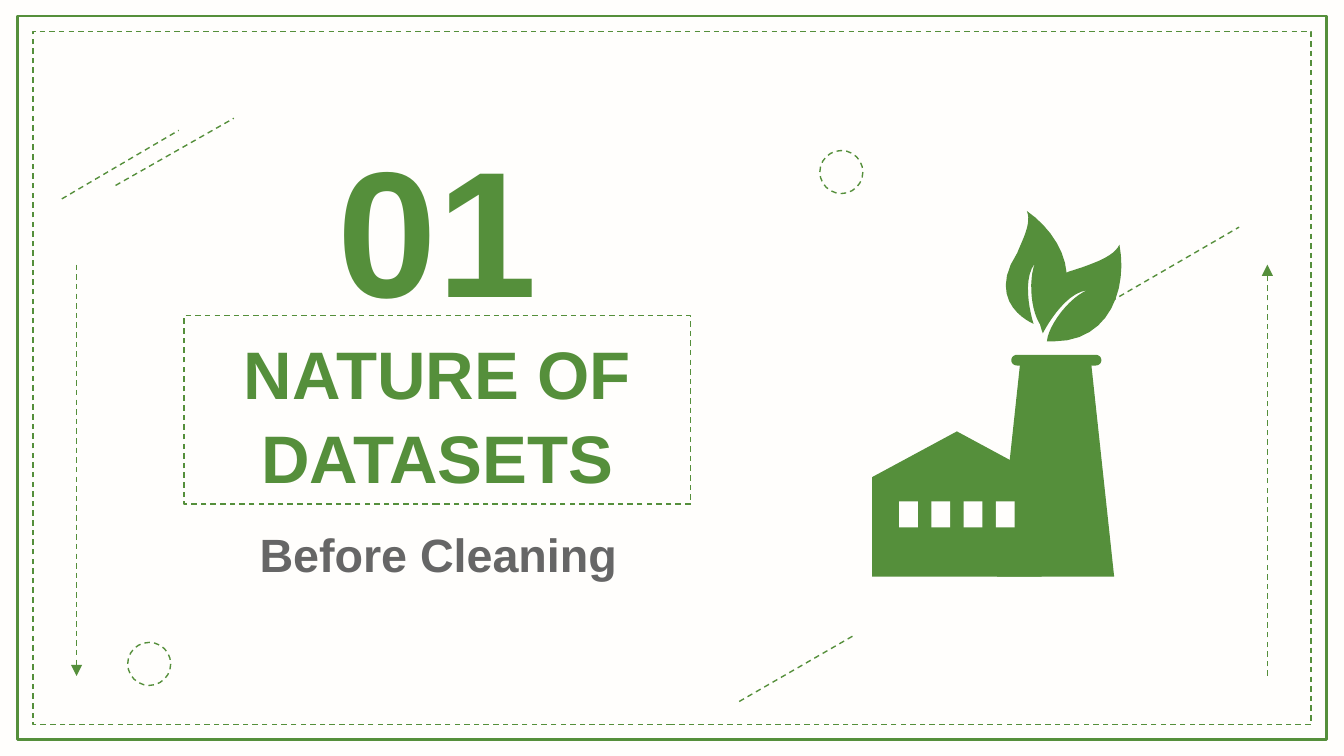
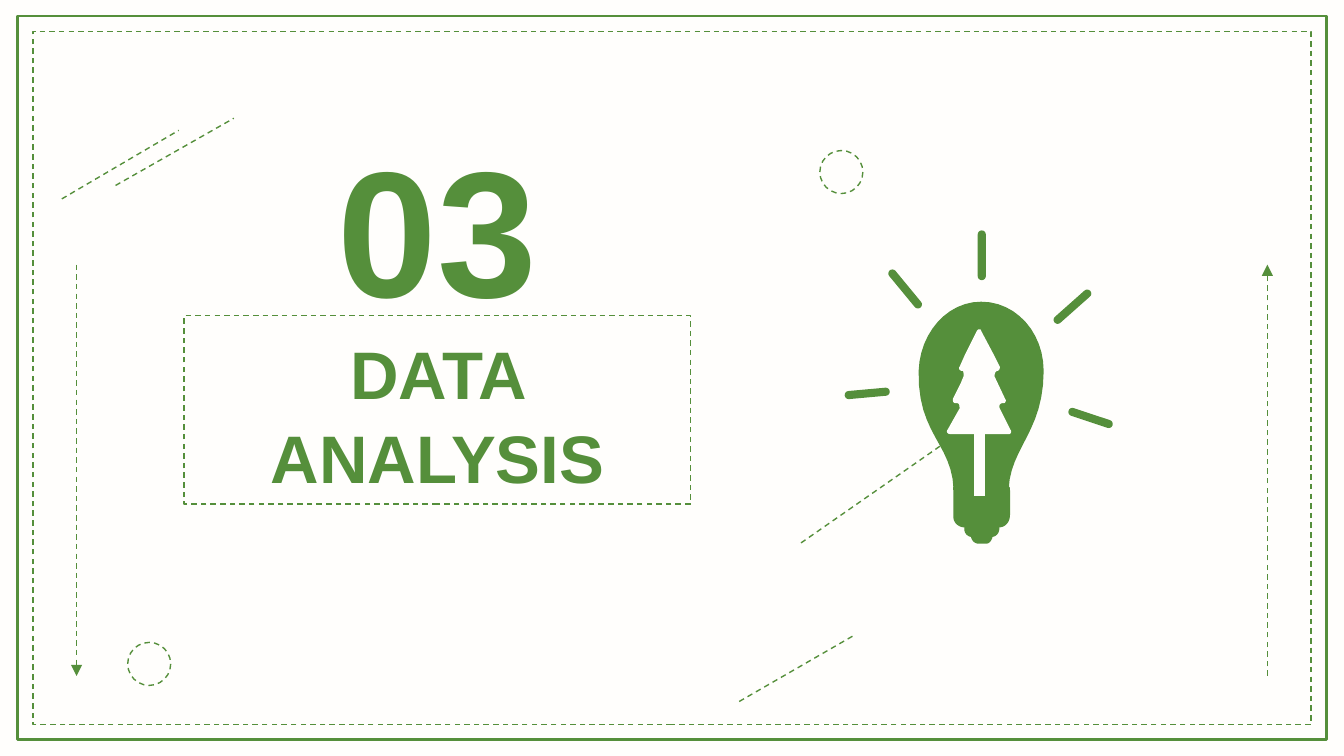
"""Build two green section-divider slides."""
import math

import lxml.etree
import pptx
import pptx.dml.color
import pptx.enum.dml
import pptx.enum.shapes
import pptx.enum.text
import pptx.oxml.ns
import pptx.util

GREEN = pptx.dml.color.RGBColor(0x55, 0x8F, 0x3B)
GREY = pptx.dml.color.RGBColor(0x66, 0x66, 0x66)
CREAM = pptx.dml.color.RGBColor(0xFF, 0xFE, 0xFC)

COLUMNS, ROWS = 100, 56.25
CELL = pptx.util.Inches(0.1)
DASH = pptx.enum.dml.MSO_LINE.DASH
THIN = {"width": pptx.util.Pt(0.75)}
DASHED = {**THIN, "dash_style": DASH}
SOLID = {"width": pptx.util.Pt(1.5)}
RECTANGLE = pptx.enum.shapes.MSO_SHAPE.RECTANGLE
CIRCLE = pptx.enum.shapes.MSO_SHAPE.OVAL
TOP = pptx.enum.text.MSO_ANCHOR.TOP
MIDDLE = pptx.enum.text.MSO_ANCHOR.MIDDLE

FACTORY = [
    [(75.9, 27.1), (74.2, 42.9), (82.9, 42.9), (81.2, 27.1)],
    [(75.7, 26.4), (75.1, 26.4, 75.1, 27.2, 75.7, 27.2), (81.5, 27.2),
     (82.1, 27.2, 82.1, 26.4, 81.5, 26.4)],
    [(71.2, 32.1), (64.9, 35.5), (64.9, 42.9), (77.5, 42.9), (77.5, 35.5)],
]
LEAVES = [
    [(76.4, 15.7), (76.8, 16.6, 76, 18, 75.7, 18.8),
     (73.2, 22.6, 76.9, 24.1, 76.9, 24.1),
     (76.9, 24.1, 75.9, 21, 77, 19.6),
     (76.5, 20.9, 76.7, 23.3, 77.5, 24.3),
     (81, 21.3, 79, 17.5, 76.4, 15.7)],
    [(83.3, 18.2), (82.9, 19.1, 81.3, 19.6, 80.5, 19.9),
     (75.9, 21, 77.6, 24.8, 77.6, 24.8),
     (77.6, 24.8, 79.1, 21.8, 80.9, 21.6),
     (79.6, 22.1, 78, 24.2, 77.9, 25.4), (78.4, 25.4),
     (82.7, 25.4, 83.9, 21.3, 83.3, 18.2)],
]
BULB = [
    [(72.3, 39.9), (72.3, 40.1, 72.5, 40.4, 72.8, 40.4), (73.4, 40.4),
     (73.6, 40.4, 73.8, 40.1, 73.8, 39.9)],
    [(73, 22.5), (70.5, 22.5, 68.5, 24.8, 68.4, 27.6),
     (68.3, 32.3, 70.9, 33, 71, 36.4), (75, 36.4),
     (75.1, 33.3, 77.6, 32.1, 77.6, 27.6),
     (77.6, 24.8, 75.6, 22.5, 73, 22.5)],
    [(71.2, 36.2), (71, 36.2, 70.9, 36.3, 71, 36.5), (71, 38.3),
     (70.9, 38.8, 71.3, 39.2, 71.8, 39.2), (74.3, 39.2),
     (74.8, 39.2, 75.1, 38.8, 75.1, 38.3), (75.1, 36.5),
     (75.1, 36.3, 75.1, 36.3, 75, 36.2)],
    [(71.8, 39.2), (71.8, 39.4), (71.8, 39.6, 72, 39.9, 72.3, 39.9),
     (73.8, 39.9), (74.1, 39.9, 74.3, 39.6, 74.3, 39.4), (74.3, 39.2)],
]
RAYS = [
    (73.05, 17.45, 73.05, 20.55), (80.9, 21.85, 78.7, 23.8),
    (79.8, 30.65, 82.5, 31.55), (63.15, 29.4, 65.9, 29.15),
    (66.4, 20.35, 68.3, 22.65),
]
TREE = [
    [(72.5, 31.8), (72.5, 36.9), (73.3, 36.9), (73.3, 31.8)],
    [(72.9, 24.5), (72.8, 24.5, 72.8, 24.5, 72.7, 24.6), (71.8, 26.4),
     (71.4, 27.3), (71.3, 27.4, 71.4, 27.6, 71.6, 27.6),
     (71.7, 27.6, 71.7, 27.7, 71.7, 28), (71.5, 28.5), (70.9, 29.7),
     (70.9, 29.8, 70.9, 30, 71.1, 30), (71.2, 30),
     (71.4, 30, 71.4, 30.2, 71.4, 30.4), (70.5, 32),
     (70.4, 32.1, 70.5, 32.3, 70.7, 32.3), (75.1, 32.3),
     (75.2, 32.3, 75.3, 32.1, 75.2, 32), (74.4, 30.4),
     (74.3, 30.2, 74.4, 30, 74.6, 30), (74.7, 30),
     (74.8, 30, 74.9, 29.8, 74.8, 29.7), (74, 28),
     (74, 27.8, 74.1, 27.6, 74.2, 27.6),
     (74.3, 27.6, 74.4, 27.5, 74.4, 27.3), (73.9, 26.3), (73, 24.6),
     (73, 24.5, 72.9, 24.5, 72.9, 24.5)],
]


def apply_format(target, values):
    for name, value in values.items():
        setattr(target, name, value)


def capsule(x1, y1, x2, y2, radius=0.25):
    heading = math.atan2(y2 - y1, x2 - x1)
    ends = (((x2, y2), heading - math.pi / 2), ((x1, y1), heading + math.pi / 2))
    return [(x + radius * math.cos(turn + step * math.pi / 8),
             y + radius * math.sin(turn + step * math.pi / 8))
            for (x, y), turn in ends for step in range(9)]


def flatten(outline, steps=12):
    points = [outline[0]]
    for piece in outline[1:]:
        if len(piece) == 2:
            points.append(piece)
            continue
        controls = [points[-1], piece[:2], piece[2:4], piece[4:]]
        for step in range(1, steps + 1):
            t = step / steps
            weights = [math.comb(3, k) * t ** k * (1 - t) ** (3 - k) for k in range(4)]
            points.append(tuple(sum(w * c[axis] for w, c in zip(weights, controls))
                                for axis in (0, 1)))
    return [(round(x * CELL), round(y * CELL)) for x, y in points]


class Deck:
    def __init__(self):
        self.show = pptx.Presentation()
        self.show.slide_width = round(COLUMNS * CELL)
        self.show.slide_height = round(ROWS * CELL)
        backdrop = self.show.slide_master.background.fill
        backdrop.solid()
        backdrop.fore_color.rgb = CREAM
        self.slide = None

    def paint(self, shape, fill=None, line=None):
        shape.shadow.inherit = False
        if fill is None:
            shape.fill.background()
        else:
            shape.fill.solid()
            shape.fill.fore_color.rgb = fill
        if line is None:
            shape.line.fill.background()
        else:
            shape.line.color.rgb = GREEN
            apply_format(shape.line, line)

    def shape(self, kind, area, fill=None, line=None):
        shape = self.slide.shapes.add_shape(kind, *(round(v * CELL) for v in area))
        self.paint(shape, fill, line)
        return shape

    def line(self, ends, arrow=False):
        connector = self.slide.shapes.add_connector(
            pptx.enum.shapes.MSO_CONNECTOR.STRAIGHT, *(round(v * CELL) for v in ends))
        connector.line.color.rgb = GREEN
        apply_format(connector.line, DASHED)
        properties = connector._element.spPr
        qn = pptx.oxml.ns.qn
        if arrow:
            lxml.etree.SubElement(properties.find(qn("a:ln")), qn("a:tailEnd"), type="triangle")
        lxml.etree.SubElement(properties, qn("a:effectLst"))

    def emblem(self, outlines, fill=GREEN, line=None):
        group = self.slide.shapes.add_group_shape()
        for outline in outlines:
            start, *rest = flatten(outline)
            builder = group.shapes.build_freeform(*start)
            builder.add_line_segments(rest, close=True)
            self.paint(builder.convert_to_shape(), fill, line)

    def letter(self, shape, words, size, color=GREEN, anchor=TOP, spacing=1.15):
        frame = shape.text_frame
        margins = {f"margin_{side}": CELL for side in ("left", "top", "right", "bottom")}
        apply_format(frame, {"word_wrap": True, "vertical_anchor": anchor, **margins})
        paragraph = frame.paragraphs[0]
        paragraph.text = words
        apply_format(paragraph, {"alignment": pptx.enum.text.PP_ALIGN.CENTER,
                                 "line_spacing": spacing})
        apply_format(paragraph.font, {"name": "Arial", "size": pptx.util.Pt(size), "bold": True})
        paragraph.font.color.rgb = color

    def text(self, area, words, size, **style):
        box = self.slide.shapes.add_textbox(*(round(v * CELL) for v in area))
        self.letter(box, words, size, **style)

    def section(self, number, heading):
        self.slide = self.show.slides.add_slide(self.show.slide_layouts[6])
        for inset_x, inset_y, style in ((1.3, 1.2, SOLID), (2.45, 2.35, DASHED)):
            self.shape(RECTANGLE, (inset_x, inset_y, COLUMNS - 2 * inset_x,
                                   ROWS - 2 * inset_y), line=style)
        for slant in ((8.6, 13.8, 17.4, 8.8), (4.6, 14.8, 13.3, 9.7),
                      (55, 52.2, 63.5, 47.3)):
            self.line(slant)
        for left, top in ((9.5, 47.8), (61, 11.2)):
            self.shape(CIRCLE, (left, top, 3.2, 3.2), CREAM, DASHED)
        self.line((5.7, 19.7, 5.7, 50.3), arrow=True)
        self.line((94.3, 50.3, 94.3, 19.7), arrow=True)
        title = self.shape(RECTANGLE, (13.7, 23.5, 37.7, 14), line=DASHED)
        self.letter(title, heading, 36, spacing=1.04)
        self.text((20.2, 9.9, 24.7, 11.4), number, 96, anchor=MIDDLE)


def main():
    deck = Deck()

    deck.section("01", "NATURE OF DATASETS")
    deck.line((80.8, 23.5, 92.2, 16.9))
    deck.emblem(FACTORY)
    for window in range(4):
        deck.shape(RECTANGLE, (66.9 + 2.4 * window, 37.3, 1.4, 1.95), CREAM)
    deck.emblem(LEAVES)
    deck.text((16.2, 37.5, 32.8, 6.2), "Before Cleaning", 25, color=GREY)

    deck.section("03", "DATA ANALYSIS")
    deck.line((59.6, 40.4, 73.1, 31))
    deck.emblem(BULB + [capsule(*ray) for ray in RAYS], line=THIN)
    deck.emblem(TREE, CREAM)

    deck.show.save("out.pptx")


if __name__ == "__main__":
    main()
